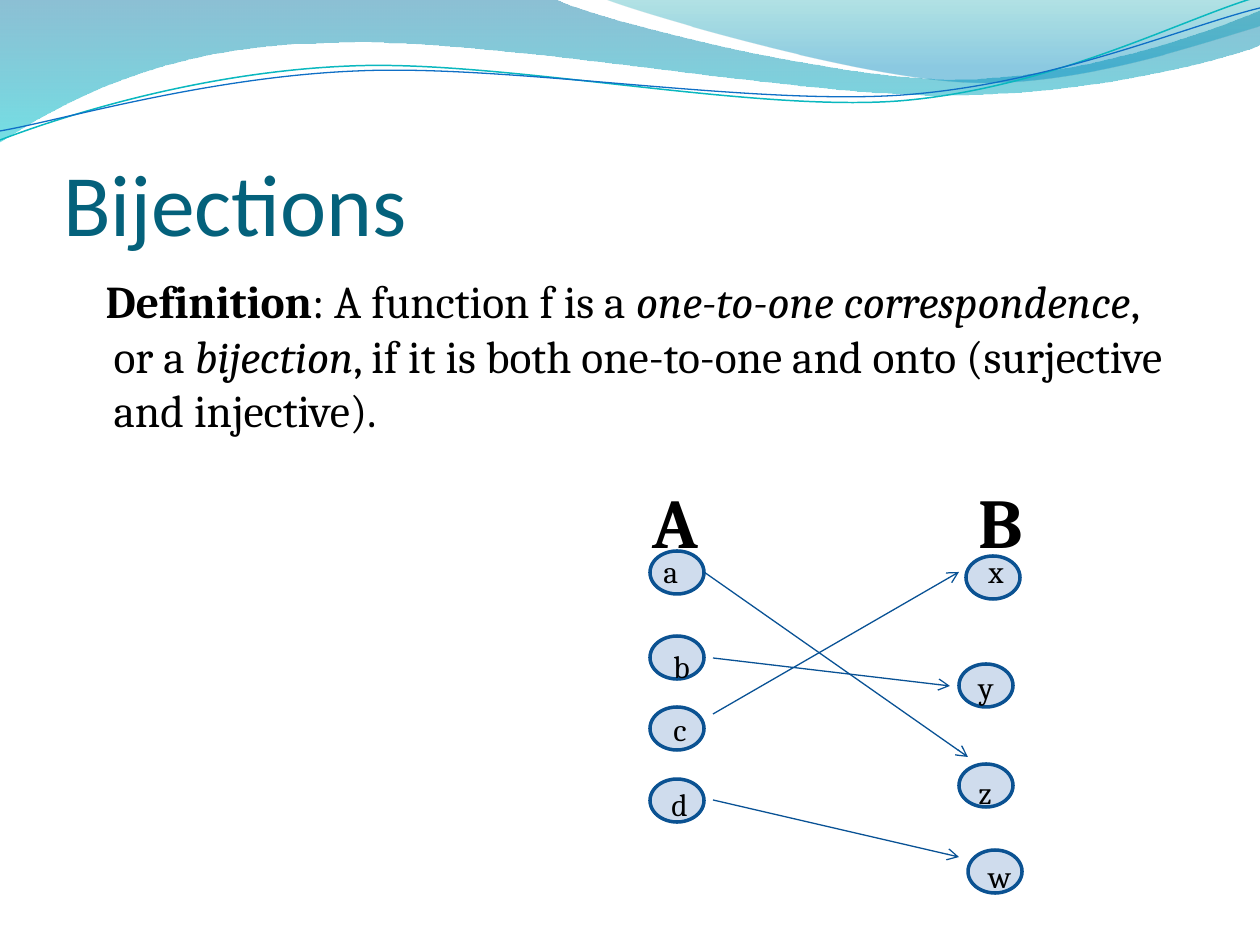
from lxml.etree import SubElement
from pptx import Presentation
from pptx.dml.color import RGBColor
from pptx.enum.shapes import MSO_CONNECTOR, MSO_SHAPE
from pptx.enum.text import MSO_ANCHOR, MSO_AUTO_SIZE, PP_ALIGN
from pptx.oxml.ns import qn
from pptx.util import Emu, Pt

SCALE = 914400 / 126  # EMU per px

COLORS = {
    "title": "04617B", "text": "000000", "node": "4F81BD",
    "node_line": "0B5292", "arrow": "095295",
    "band_top": "0074A1", "band_bottom": "00C6CF",
    "corner_top": "00A1A9", "corner_bottom": "008BBF",
    "teal_line": "0AB8BF", "blue_line": "0F6FC6",
}

# Each segment holds one end point, or two control points and an end point
BAND = [
    [(0, 0)], [(554, -1)],
    [(600, 21), (837, 79), (955, 79)], [(1075, 79), (1207, 33), (1260, 11)],
    [(1261, 45)],
    [(1239, 55), (1096, 96), (940, 95)], [(784, 95), (481, 35), (324, 43)],
    [(162, 45), (58, 105), (-1, 142)],
]
CORNER = [
    [(604, -1)],
    [(641, 14), (859, 78), (969, 82)], [(1079, 87), (1211, 40), (1260, 26)],
    [(1260, 0)],
]
TEAL_WAVE = [
    [(0, 140)], [(60, 117), (199, 72), (349, 66)],
    [(498, 59), (747, 112), (898, 101)], [(1050, 89), (1182, 19), (1257, -3)],
]
BLUE_WAVE = [
    [(0, 131)], [(59, 121), (207, 77), (357, 71)],
    [(508, 64), (752, 106), (903, 95)], [(1053, 84), (1186, 26), (1260, 8)],
]

# Letter, oval position, letter box position
NODES = [
    ("a", (650, 551), (651, 546)), ("b", (650, 636), (661, 641)),
    ("c", (650, 707), (661, 704)), ("d", (650, 779), (659, 779)),
    ("x", (966, 556), (976, 546)), ("y", (959, 664), (966, 662)),
    ("z", (959, 764), (966, 767)), ("w", (968, 850), (976, 851)),
]
ARROWS = [
    ((704, 572), (968, 757)), ((713, 658), (950, 686)),
    ((713, 714), (959, 572)), ((713, 800), (959, 857)),
]
DEFINITION = [
    ("Definition", "bold"), (": A function f is a ", ""),
    ("one-to-one correspondence", "italic"), (", or a ", ""),
    ("bijection", "italic"),
    (", if it is both one-to-one and onto (surjective and injective).", ""),
]


def px(n):
    return Emu(round(n * SCALE))


def rgb(name):
    return RGBColor.from_string(COLORS[name])


def format_run(r, size, color="text", font="Cambria", bold=False, italic=False):
    r.font.size, r.font.name = Pt(size), font
    r.font.bold, r.font.italic = bold, italic
    r.font.color.rgb = rgb(color)


def place(sp, x, y, w, h):
    sp.left, sp.top, sp.width, sp.height = map(px, (x, y, w, h))


def set_line(sp, color, width):
    sp.line.color.rgb = rgb(color)
    sp.line.width = Pt(width)


def set_alpha(sp, *percents):
    """Give the fill colours of a shape their opacity, in order."""
    for clr, pct in zip(sp._element.spPr.iter(qn("a:srgbClr")), percents):
        SubElement(clr, qn("a:alpha")).set("val", str(pct * 1000))


def bend(sp, segments):
    """Turn straight segments that have control points into cubic curves."""
    steps = list(sp._element.spPr.iter(qn("a:lnTo")))
    for step, (*controls, _) in zip(steps, segments[1:]):
        if not controls:
            continue
        step.tag = qn("a:cubicBezTo")
        end = step[0]
        for x, y in controls:
            pt = SubElement(step, qn("a:pt"))
            pt.set("x", str(px(x) - sp.left))
            pt.set("y", str(px(y) - sp.top))
        step.append(end)


def add_wave(slide, segments, index, closed):
    points = [(px(x), px(y)) for x, y in (seg[-1] for seg in segments)]
    builder = slide.shapes.build_freeform(*points[0])
    builder.add_line_segments(points[1:], close=closed)
    sp = builder.convert_to_shape()
    bend(sp, segments)
    sp.shadow.inherit = False
    # Waves lie behind the placeholders
    slide.shapes._spTree.insert(2 + index, sp._element)
    return sp


def add_filled_wave(slide, segments, index, stops):
    sp = add_wave(slide, segments, index, True)
    sp.fill.gradient()
    sp.fill.gradient_angle = 270
    for stop, (position, color, _) in zip(sp.fill.gradient_stops, stops):
        stop.position = position
        stop.color.rgb = rgb(color)
    set_alpha(sp, *(alpha for _, _, alpha in stops))
    sp.line.fill.background()


def add_wave_line(slide, segments, index, color, width):
    sp = add_wave(slide, segments, index, False)
    sp.fill.background()
    set_line(sp, color, width)


def add_oval(slide, x, y):
    sp = slide.shapes.add_shape(MSO_SHAPE.FLOWCHART_CONNECTOR,
                                px(x), px(y), px(54), px(43))
    sp.shadow.inherit = False
    sp.fill.solid()
    sp.fill.fore_color.rgb = rgb("node")
    set_alpha(sp, 27)
    set_line(sp, "node_line", 2)


def add_label(slide, text, x, y, w, h, size, bold=False):
    tf = slide.shapes.add_textbox(px(x), px(y), px(w), px(h)).text_frame
    tf.word_wrap = True
    tf.auto_size = MSO_AUTO_SIZE.SHAPE_TO_FIT_TEXT
    tf.text = text
    format_run(tf.paragraphs[0].runs[0], size, bold=bold)


def add_arrow(slide, start, end):
    line = slide.shapes.add_connector(MSO_CONNECTOR.STRAIGHT,
                                      *map(px, (*start, *end)))
    set_line(line, "arrow", 0.75)
    SubElement(line.line._get_or_add_ln(), qn("a:tailEnd")).set("type", "arrow")
    SubElement(line._element.spPr, qn("a:effectLst"))


def fill_title(sp, text):
    place(sp, 63, 97, 1134, 157)
    tf = sp.text_frame
    tf.text = text
    tf.vertical_anchor = MSO_ANCHOR.BOTTOM
    tf.auto_size = MSO_AUTO_SIZE.NONE
    tf.margin_left = tf.margin_right = tf.margin_bottom = 0
    p = tf.paragraphs[0]
    p.alignment = PP_ALIGN.LEFT
    format_run(p.runs[0], 50, "title", "Calibri")


def fill_body(sp, parts):
    place(sp, 63, 267, 1134, 605)
    tf = sp.text_frame
    tf.auto_size = MSO_AUTO_SIZE.NONE
    p = tf.paragraphs[0]
    pPr = p._p.get_or_add_pPr()
    pPr.set("marL", str(px(38)))
    pPr.set("indent", str(px(-8)))
    SubElement(pPr, qn("a:buNone"))
    for text, style in parts:
        r = p.add_run()
        r.text = text
        format_run(r, 26, bold=style == "bold", italic=style == "italic")


def main():
    prs = Presentation()
    prs.slide_width, prs.slide_height = px(1260), px(945)
    slide = prs.slides.add_slide(prs.slide_layouts[1])

    # Header waves
    add_filled_wave(slide, BAND, 0, [(0, "band_top", 45), (1, "band_bottom", 55)])
    add_filled_wave(slide, CORNER, 1,
                    [(0, "corner_top", 30), (0.8, "corner_bottom", 45)])
    add_wave_line(slide, TEAL_WAVE, 2, "teal_line", 0.85)
    add_wave_line(slide, BLUE_WAVE, 3, "blue_line", 0.75)

    # Title and definition
    fill_title(slide.shapes.title, "Bijections")
    fill_body(slide.placeholders[1], DEFINITION)

    # Mapping from set A to set B
    for _, oval, _ in NODES:
        add_oval(slide, *oval)
    for name, x in (("A", 640), ("B", 966)):
        add_label(slide, name, x, 472, 82, 66, 40, bold=True)
    for letter, _, box in NODES:
        add_label(slide, letter, *box, 36, 34, 18)
    for start, end in ARROWS:
        add_arrow(slide, start, end)

    prs.save("out.pptx")


if __name__ == "__main__":
    main()
